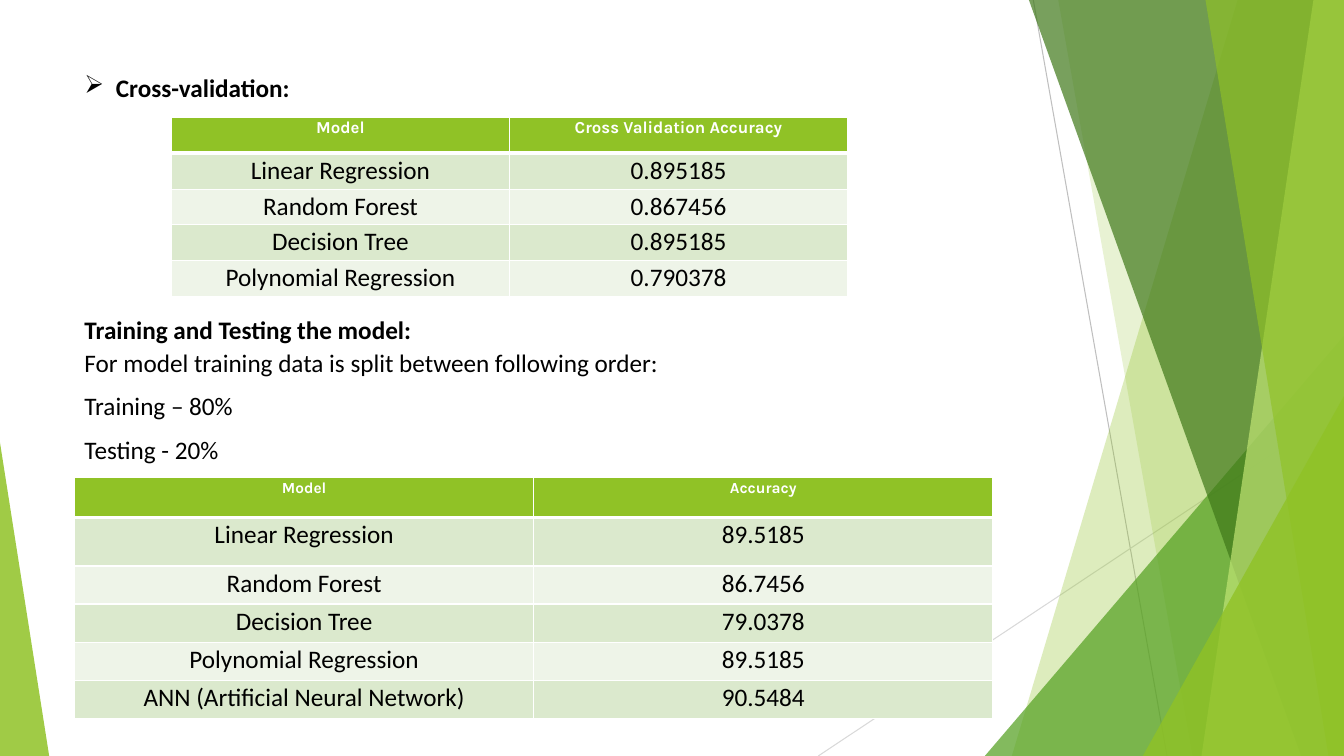
from dataclasses import dataclass

from lxml import etree
from pptx import Presentation
from pptx.dml.color import RGBColor
from pptx.enum.shapes import MSO_CONNECTOR, MSO_SHAPE
from pptx.enum.text import MSO_ANCHOR, PP_ALIGN
from pptx.oxml.ns import qn
from pptx.util import Cm, Pt

STRAIGHT = MSO_CONNECTOR.STRAIGHT
TRIANGLE = MSO_SHAPE.ISOSCELES_TRIANGLE
TOP = MSO_ANCHOR.TOP
CENTER = PP_ALIGN.CENTER
LEFT = PP_ALIGN.LEFT

LIME = RGBColor(0x90, 0xC2, 0x26)
GREEN = RGBColor(0x54, 0xA0, 0x21)
DARK_GREEN = RGBColor(0x3F, 0x78, 0x19)
PALE_LIME = RGBColor(0xC0, 0xE4, 0x74)
BAND_DARK = RGBColor(0xDB, 0xE9, 0xCD)
BAND_LIGHT = RGBColor(0xEE, 0xF4, 0xE8)
GRAY = RGBColor(0xBF, 0xBF, 0xBF)
LIGHT_GRAY = RGBColor(0xD9, 0xD9, 0xD9)
WHITE = RGBColor(0xFF, 0xFF, 0xFF)
BLACK = RGBColor(0, 0, 0)

WIDTH, HEIGHT = 33.87, 19.05


@dataclass
class Ray:
    x1: float
    y1: float
    x2: float
    y2: float
    color: RGBColor


@dataclass
class Panel:
    top_x: float
    bottom_x: float
    color: RGBColor
    opacity: int


@dataclass
class Corner:
    left: float
    top: float
    width: float
    apex: int
    color: RGBColor
    opacity: int


@dataclass
class ResultTable:
    left: float
    top: float
    col_width: float
    row_heights: list[float]
    header_size: int
    rows: list[tuple[str, str]]


@dataclass
class Line:
    text: str
    bold: bool = False
    spacing: float = 1.07
    after: int = 8


RAYS = [
    Ray(26.04, 0, 29.41, HEIGHT, GRAY),
    Ray(WIDTH, 10.24, 20.62, HEIGHT, LIGHT_GRAY),
]
FACETS = [
    Panel(31.19, 25.5, LIME, 30),
    Panel(26.67, 30.05, LIME, 20),
    Corner(24.82, 8.46, 9.05, 1, GREEN, 72),
    Panel(25.93, 32.79, DARK_GREEN, 70),
    Panel(33.1, 30.28, PALE_LIME, 70),
    Panel(30.38, 33.48, LIME, 65),
    Corner(28.8, 9.98, 5.07, 1, LIME, 80),
    Corner(0, 11.15, 1.24, 0, LIME, 85),
]
CROSS_VALIDATION = ResultTable(
    4.32, 2.95, 8.52, [0.91, 0.91, 0.88, 0.91, 0.91], 12,
    [("Model", "Cross Validation Accuracy"),
     ("Linear Regression", "0.895185"),
     ("Random Forest", "0.867456"),
     ("Decision Tree", "0.895185"),
     ("Polynomial Regression", "0.790378")],
)
ACCURACY = ResultTable(
    1.88, 12.04, 11.57, [1, 1.22] + [0.96] * 4, 11,
    [("Model", "Accuracy"),
     ("Linear Regression", "89.5185"),
     ("Random Forest", "86.7456"),
     ("Decision Tree", "79.0378"),
     ("Polynomial Regression", "89.5185"),
     ("ANN (Artificial Neural Network)", "90.5484")],
)
HEADING = [Line("Cross-validation:", True, 1, 0)]
TRAINING = [
    Line("Training and Testing the model:", True, 1, 0),
    Line("For model training data is split between following order:"),
    Line("Training – 80%"),
    Line("Testing - 20%"),
]


def add_ray(s, ray: Ray) -> None:
    c = s.shapes.add_connector(STRAIGHT, Cm(ray.x1), Cm(ray.y1), Cm(ray.x2), Cm(ray.y2))
    c.line.color.rgb = ray.color
    c.line.width = Pt(0.75)
    etree.SubElement(c._element.spPr, qn("a:effectLst"))


def add_facet(s, facet: Panel | Corner) -> None:
    if isinstance(facet, Panel):
        builder = s.shapes.build_freeform(Cm(facet.top_x), 0)
        builder.add_line_segments(
            [(Cm(WIDTH), 0), (Cm(WIDTH), Cm(HEIGHT)), (Cm(facet.bottom_x), Cm(HEIGHT))]
        )
        sp = builder.convert_to_shape()
    else:
        sp = s.shapes.add_shape(
            TRIANGLE, Cm(facet.left), Cm(facet.top), Cm(facet.width), Cm(HEIGHT - facet.top)
        )
        sp.adjustments[0] = facet.apex
    sp.shadow.inherit = False
    sp.line.fill.background()
    sp.fill.solid()
    sp.fill.fore_color.rgb = facet.color
    color = sp._element.spPr.find(qn("a:solidFill"))[0]
    etree.SubElement(color, qn("a:alpha"), val=str(facet.opacity * 1000))


def format_paragraph(p, size: int, font: str, color: RGBColor, bold: bool,
                     align: PP_ALIGN, spacing: float, after: int) -> None:
    p.alignment = align
    p.line_spacing = spacing
    p.space_after = Pt(after)
    for r in p.runs:
        r.font.size = Pt(size)
        r.font.name = font
        r.font.bold = bold
        r.font.color.rgb = color


def add_text(s, left: float, top: float, width: float, height: float, lines: list[Line]):
    tf = s.shapes.add_textbox(Cm(left), Cm(top), Cm(width), Cm(height)).text_frame
    tf.word_wrap = True
    tf.text = "\n".join(line.text for line in lines)
    for p, line in zip(tf.paragraphs, lines):
        format_paragraph(p, 18, "Calibri", BLACK, line.bold, LEFT, line.spacing, line.after)
    return tf


def add_bullet(p, char: str, indent: float) -> None:
    pPr = p._p.get_or_add_pPr()
    pPr.set("marL", str(Cm(indent)))
    pPr.set("indent", str(-Cm(indent)))
    etree.SubElement(pPr, qn("a:buChar"), char=char)


def add_borders(cell, row: int) -> None:
    tcPr = cell._tc.get_or_add_tcPr()
    thick = {0: "lnB", 1: "lnT"}.get(row)
    for side in ("lnL", "lnR", "lnT", "lnB"):
        ln = etree.SubElement(tcPr, qn(f"a:{side}"), w=str(Pt(3 if side == thick else 1)))
        fill = etree.SubElement(ln, qn("a:solidFill"))
        etree.SubElement(fill, qn("a:srgbClr"), val=str(WHITE))


def add_results(s, spec: ResultTable) -> None:
    table = s.shapes.add_table(
        len(spec.rows), 2, Cm(spec.left), Cm(spec.top),
        Cm(2 * spec.col_width), Cm(sum(spec.row_heights)),
    ).table
    table.horz_banding = False
    for column in table.columns:
        column.width = Cm(spec.col_width)
    for i, (values, height) in enumerate(zip(spec.rows, spec.row_heights)):
        table.rows[i].height = Cm(height)
        band = LIME if i == 0 else BAND_DARK if i % 2 else BAND_LIGHT
        style = (spec.header_size, "Karla", WHITE, True) if i == 0 else (18, "Calibri", BLACK, False)
        for j, value in enumerate(values):
            cell = table.cell(i, j)
            cell.text_frame.text = value
            cell.vertical_anchor = TOP
            cell.margin_left = cell.margin_right = Cm(0.18)
            cell.margin_top = cell.margin_bottom = 0
            add_borders(cell, i)
            cell.fill.solid()
            cell.fill.fore_color.rgb = band
            format_paragraph(cell.text_frame.paragraphs[0], *style, CENTER, 1.07, 8)


prs = Presentation()
prs.slide_width, prs.slide_height = Cm(WIDTH), Cm(HEIGHT)
s = prs.slides.add_slide(prs.slide_layouts[6])
for ray in RAYS:
    add_ray(s, ray)
for facet in FACETS:
    add_facet(s, facet)
tf = add_text(s, 1.88, 1.7, 23.88, 6.99, HEADING)
add_bullet(tf.paragraphs[0], "➢", 0.79)
add_results(s, CROSS_VALIDATION)
add_text(s, 1.88, 7.8, 24.26, 5.13, TRAINING)
add_results(s, ACCURACY)
prs.save("out.pptx")
